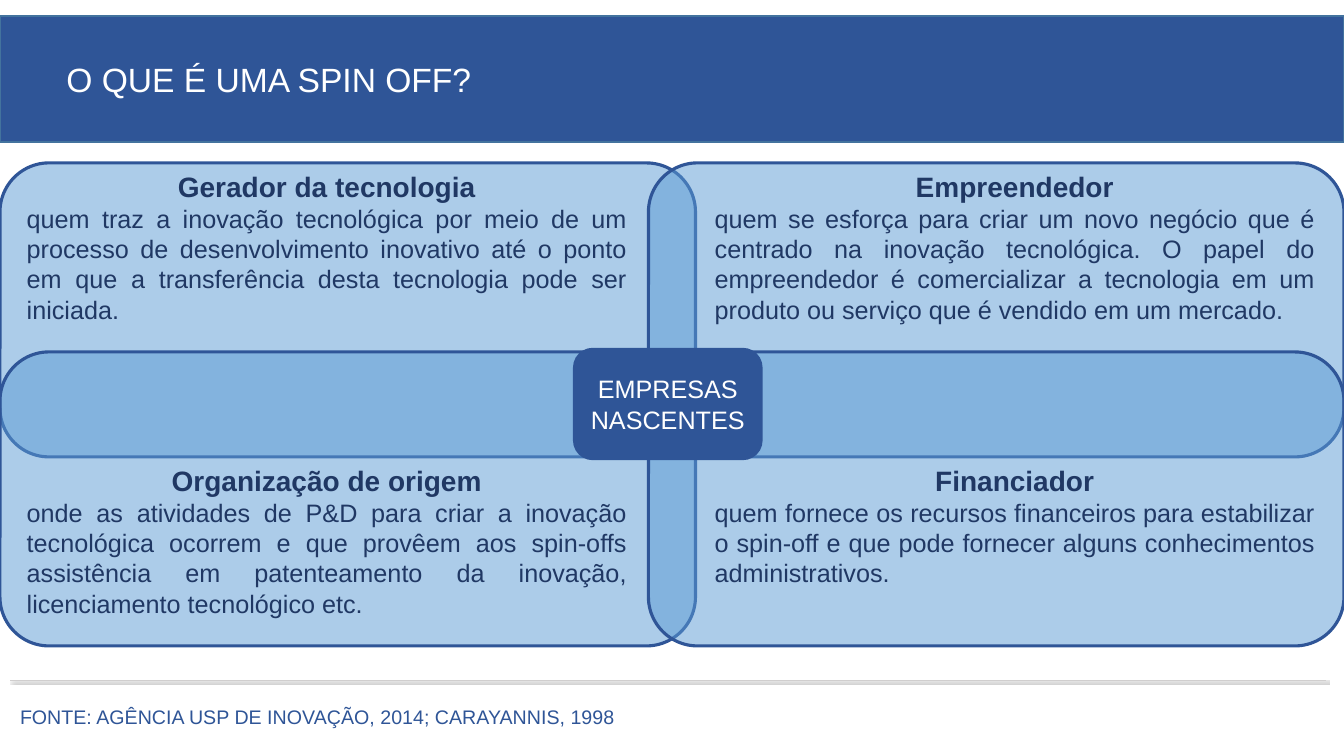
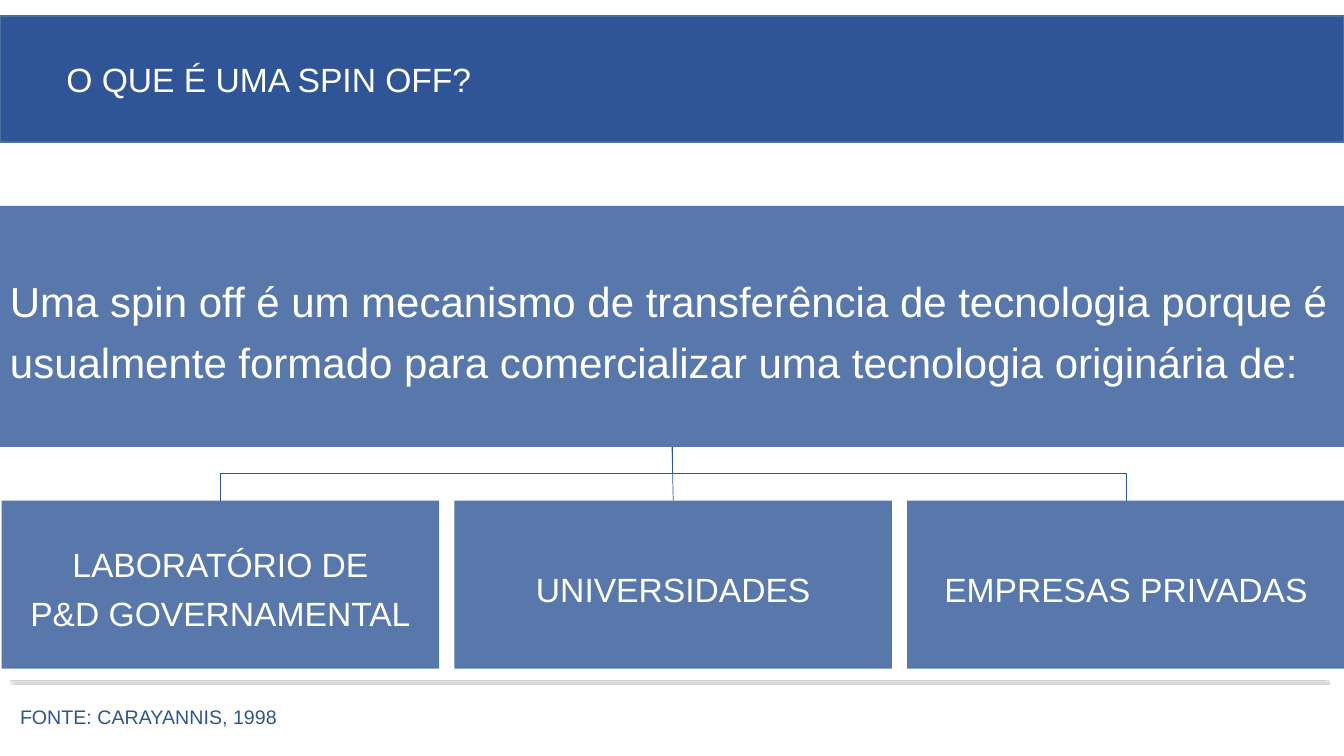
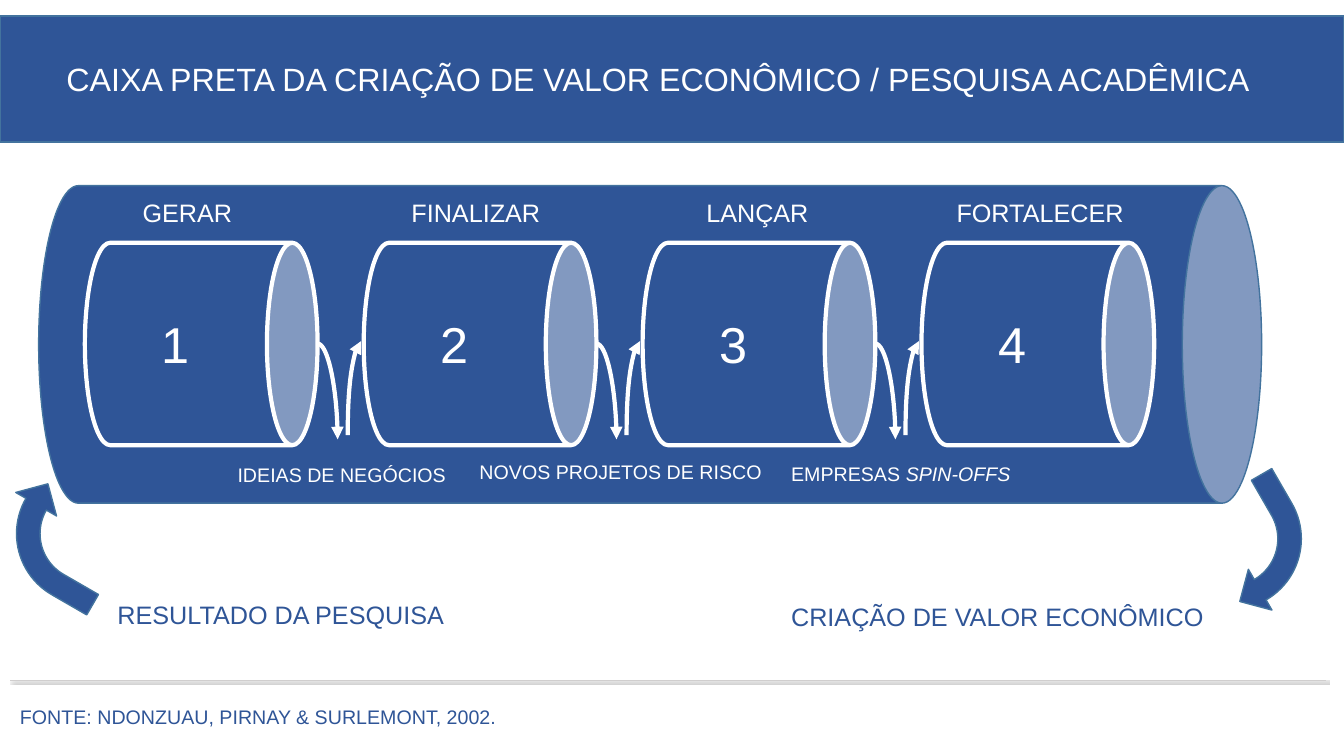
from lxml.etree import SubElement
from pptx import Presentation
from pptx.dml.color import RGBColor
from pptx.enum.shapes import MSO_CONNECTOR, MSO_SHAPE
from pptx.enum.text import MSO_ANCHOR, MSO_AUTO_SIZE, PP_ALIGN
from pptx.oxml.ns import qn
from pptx.util import Pt

COLS, ROWS, CELL = 160, 90, 76200
FONT = "Arial"
BLUE, EDGE, SKY, NAVY = "2F5597", "43739E", "5B9BD5", "203864"
WHITE, GRAY, SHADE = "FFFFFF", "D0CECE", "595959"
LEFT, CENTER, JUSTIFY = PP_ALIGN.LEFT, PP_ALIGN.CENTER, PP_ALIGN.JUSTIFY


def rgb(color):
    """Turn a hex string into a colour."""
    return RGBColor.from_string(color)


def cells(*counts):
    """Turn counts of square grid cells into lengths."""
    return [round(n * CELL) for n in counts]


def style(p, size, color, align=LEFT, bold=False, spacing=None):
    """Format a whole paragraph."""
    p.alignment, p.line_spacing = align, spacing
    f = p.font
    f.name, f.size, f.bold, f.color.rgb = FONT, Pt(size), bold, rgb(color)


def write(tf, lines, size, color, align=CENTER, spacing=None):
    """Fill a text frame with paragraphs of one style."""
    tf.word_wrap = True
    tf.text = "\n".join(lines)
    for p in tf.paragraphs:
        style(p, size, color, align, spacing=spacing)


def paint(sp, fill, line=None, width=1, alpha=None):
    """Give a shape its fill and outline."""
    sp.fill.solid()
    sp.fill.fore_color.rgb = rgb(fill)
    if alpha:
        color = sp._element.spPr.find(qn("a:solidFill"))[0]
        SubElement(color, qn("a:alpha"), val=str(alpha * 1000))
    if line:
        sp.line.color.rgb, sp.line.width = rgb(line), Pt(width)
    else:
        sp.line.fill.background()


def shape(shapes, kind, box, *look):
    """Add a preset shape without shadow."""
    sp = shapes.add_shape(kind, *cells(*box))
    sp.shadow.inherit = False
    paint(sp, *look)
    return sp


def label(shapes, x, y, w, text, size, color=WHITE, italic=""):
    """Add a one-line text box, with an optional italic ending."""
    tf = shapes.add_textbox(*cells(x, y, w, size * 0.2 + 1.2)).text_frame
    tf.word_wrap, tf.auto_size = False, MSO_AUTO_SIZE.SHAPE_TO_FIT_TEXT
    p = tf.paragraphs[0]
    p.add_run().text = text
    if italic:
        r = p.add_run()
        r.text, r.font.italic = italic, True
    style(p, size, color)


def link(s, kind, ends, color, width):
    """Add a connector and return its shape properties."""
    c = s.shapes.add_connector(kind, *cells(*ends))
    c.line.color.rgb, c.line.width = rgb(color), Pt(width)
    pr = c._element.spPr
    SubElement(pr, qn("a:effectLst"))
    return pr


def elbow(s, x0, y0, x1, y1):
    """Link a parent down to a child at its left or right."""
    side = 1 if x1 > x0 else -1
    cx, cy = (x0 + x1) / 2, (y0 + y1) / 2
    dx, dy = abs(x1 - x0) / 2, side * (y1 - y0) / 2
    pr = link(s, MSO_CONNECTOR.ELBOW, (cx + dy, cy - dx, cx - dy, cy + dx), BLUE, 0.5)
    pr.find(qn("a:xfrm")).set("rot", str((180 + 90 * side) * 60000))


def curve(s, ends, tip):
    """Add a quarter-turn arrow with its tip at headEnd or tailEnd."""
    pr = link(s, MSO_CONNECTOR.CURVE, ends, WHITE, 3)
    pr.find(qn("a:prstGeom")).set("prst", "curvedConnector2")
    SubElement(pr.find(qn("a:ln")), qn("a:" + tip), type="triangle")


def can(shapes, x, y, w, h, line, width):
    """Add a lying cylinder that fills the given box."""
    box = (x + (w - h) / 2, y + (h - w) / 2, h, w)
    shape(shapes, MSO_SHAPE.CAN, box, BLUE, line, width).rotation = 90


def turn_arrow(s, x, y, angle):
    """Add a rotated bent arrow."""
    sp = shape(s.shapes, MSO_SHAPE.BENT_ARROW, (x, y, 11.2, 14.6), BLUE, EDGE)
    sp.adjustments[3] = 0.75
    sp.rotation = angle


def role(s, x, y, head, body):
    """Add a centred heading over justified text."""
    tf = s.shapes.add_textbox(*cells(x, y, 73.8, 19.8)).text_frame
    write(tf, [head, body], 18, NAVY, JUSTIFY)
    style(tf.paragraphs[0], 20, NAVY, CENTER, True)


def new_slide(prs, title, source, source_width, size=24):
    """Add a slide with title band, ruled footer and source."""
    s = prs.slides.add_slide(prs.slide_layouts[5])
    band = s.shapes.title
    band.left, band.top, band.width, band.height = cells(0, 1.9, COLS, 15)
    paint(band, BLUE, EDGE)
    tf = band.text_frame
    write(tf, [title], size, WHITE, LEFT)
    tf.auto_size, tf.vertical_anchor = MSO_AUTO_SIZE.NONE, MSO_ANCHOR.MIDDLE
    tf.margin_left = cells(7.9)[0]
    pr = link(s, MSO_CONNECTOR.STRAIGHT, (1.2, 81, 157.8, 81), GRAY, 0.5)
    shadow = SubElement(pr.find(qn("a:effectLst")), qn("a:outerShdw"), blurRad="12700",
                        dist="25400", dir="2700000", algn="tl", rotWithShape="0")
    color = SubElement(shadow, qn("a:srgbClr"), val=SHADE)
    SubElement(color, qn("a:alpha"), val="40000")
    label(s.shapes, 1.2, 83.3, source_width, source, 14, BLUE)
    return s


def roles_slide(prs):
    """Build the four roles around the new companies."""
    s = new_slide(prs, "O QUE É UMA SPIN OFF?",
                  "FONTE: AGÊNCIA USP DE INOVAÇÃO, 2014; CARAYANNIS, 1998", 73.8)
    roles = [
        ("Gerador da tecnologia",
         "quem traz a inovação tecnológica por meio de um processo de desenvolvimento "
         "inovativo até o ponto em que a transferência desta tecnologia pode ser iniciada."),
        ("Empreendedor",
         "quem se esforça para criar um novo negócio que é centrado na inovação "
         "tecnológica. O papel do empreendedor é comercializar a tecnologia em um "
         "produto ou serviço que é vendido em um mercado."),
        ("Organização de origem",
         "onde as atividades de P&D para criar a inovação tecnológica ocorrem e que "
         "provêem aos spin-offs assistência em patenteamento da inovação, licenciamento "
         "tecnológico etc."),
        ("Financiador",
         "quem fornece os recursos financeiros para estabilizar o spin-off e que pode "
         "fornecer alguns conhecimentos administrativos."),
    ]
    for i in range(len(roles)):
        row, col = divmod(i, 2)
        shape(s.shapes, MSO_SHAPE.ROUNDED_RECTANGLE,
              (77.2 * col, 19.4 + 22.5 * row, 82.8, 35), SKY, BLUE, 2.25, 50)
    for i, (head, body) in enumerate(roles):
        row, col = divmod(i, 2)
        role(s, 2 + 81.9 * col, 19.6 + 35 * row, head, body)
    hub = shape(s.shapes, MSO_SHAPE.ROUNDED_RECTANGLE, (68.4, 41.6, 22.2, 13), BLUE, BLUE, 2.25)
    write(hub.text_frame, ["EMPRESAS NASCENTES"], 18, WHITE)


def origins_slide(prs):
    """Build the tree of technology origins."""
    s = new_slide(prs, "O QUE É UMA SPIN OFF?", "FONTE: CARAYANNIS, 1998", 33.2)
    top, bottom, width = 53.2, 59.6, 52.1
    look = (BLUE, None, 0, 80)
    root = shape(s.shapes, MSO_SHAPE.RECTANGLE, (0, 24.5, COLS, top - 24.5), *look)
    write(root.text_frame,
          ["Uma spin off é um mecanismo de transferência de tecnologia porque é "
           "usualmente formado para comercializar uma tecnologia originária de:"],
          30, WHITE, LEFT, 1.2)
    origins = [["LABORATÓRIO DE", "P&D GOVERNAMENTAL"], ["UNIVERSIDADES"], ["EMPRESAS PRIVADAS"]]
    for i, lines in enumerate(origins):
        x = 0.2 + 53.9 * i
        sp = shape(s.shapes, MSO_SHAPE.RECTANGLE, (x, bottom, width, 20), *look)
        write(sp.text_frame, lines, 24, WHITE, CENTER, 1.2)
        ends = (COLS / 2, top, x + width / 2, bottom)
        if i == 1:
            link(s, MSO_CONNECTOR.STRAIGHT, ends, BLUE, 0.5)
        else:
            elbow(s, *ends)


def value_slide(prs):
    """Build the four stages of value creation."""
    s = new_slide(prs, "CAIXA PRETA DA CRIAÇÃO DE VALOR ECONÔMICO / PESQUISA ACADÊMICA",
                  "FONTE: NDONZUAU, PIRNAY & SURLEMONT, 2002.", 59.5, 23)
    pitch = 33.2
    can(s.shapes, 4.6, 22.1, 145.6, 37.8, EDGE, 1)
    turn_arrow(s, 1.2, 57.4, 300)
    turn_arrow(s, 144.6, 57.6, 150)
    label(s.shapes, 12.8, 70.7, 41.6, "RESULTADO DA PESQUISA", 18, BLUE)
    label(s.shapes, 93, 71, 52, "CRIAÇÃO DE VALOR ECONÔMICO", 18, BLUE)
    stages = [(15.8, 13.2, "GERAR"), (47.8, 17.9, "FINALIZAR"),
              (82.9, 14.8, "LANÇAR"), (112.7, 22.6, "FORTALECER")]
    for i, (x, w, name) in enumerate(stages):
        stage = s.shapes.add_group_shape().shapes
        left = 10.1 + pitch * i
        can(stage, left, 28.9, 27.7, 24.1, WHITE, 3)
        label(stage, left + 8, 36.7, 5.8, str(i + 1), 36)
        label(s.shapes, x, 22.9, w, name, 18)
    results = [(27.1, 54.5, 27.5, "IDEIAS DE NEGÓCIOS", ""),
               (55.9, 54.2, 36.4, "NOVOS PROJETOS DE RISCO", ""),
               (93, 54.4, 28.7, "EMPRESAS ", "SPIN-OFFS")]
    for i, (x, y, w, text, italic) in enumerate(results):
        dx = pitch * i
        curve(s, (37.8 + dx, 40.9, 40.2 + dx, 52.3), "tailEnd")
        curve(s, (43 + dx, 40.6, 41.4 + dx, 51.8), "headEnd")
        label(s.shapes, x, y, w, text, 14, WHITE, italic)


def main():
    """Build and save the presentation."""
    prs = Presentation()
    prs.slide_width, prs.slide_height = cells(COLS, ROWS)
    roles_slide(prs)
    origins_slide(prs)
    value_slide(prs)
    prs.save("out.pptx")


if __name__ == "__main__":
    main()
